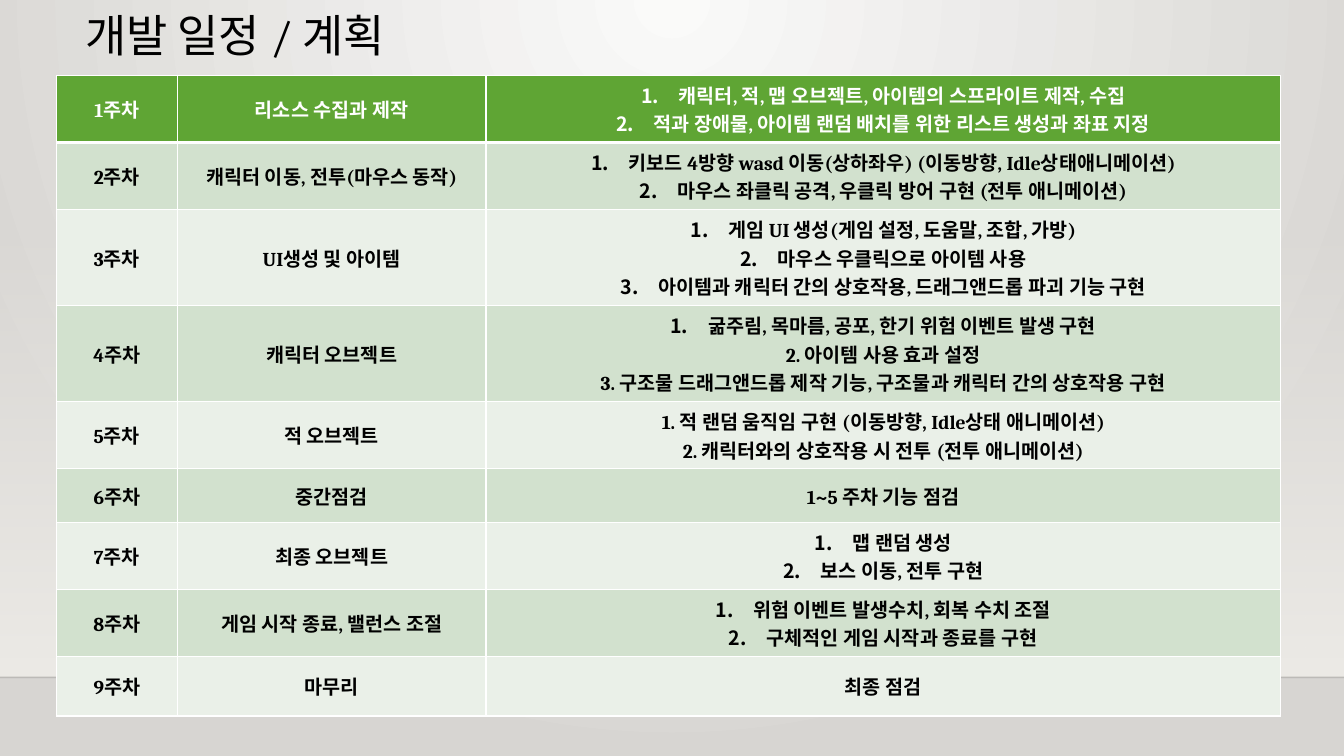
"""Build a slide with the nine-week development schedule of a game."""
from dataclasses import dataclass

from lxml import etree
from pptx import Presentation
from pptx.dml.color import RGBColor
from pptx.enum.shapes import MSO_CONNECTOR, MSO_SHAPE
from pptx.enum.text import MSO_ANCHOR, PP_ALIGN
from pptx.oxml.ns import qn
from pptx.util import Cm, Pt

MIDDLE = MSO_ANCHOR.MIDDLE
LEFT, CENTER = PP_ALIGN.LEFT, PP_ALIGN.CENTER
RECTANGLE = MSO_SHAPE.RECTANGLE
STRAIGHT = MSO_CONNECTOR.STRAIGHT


@dataclass(frozen=True)
class Theme:
    """Colours, font and type sizes of the slide."""
    font: str = "Cambria"
    title_size: int = 32
    table_size: int = 14
    ink: str = "000000"
    white: str = "FFFFFF"
    header: str = "5FA534"
    bands: tuple = ("EAF0E8", "D2E1CE")
    glow: str = "FAFAF9"
    floor: str = "D7D5D2"
    wall: str = "EDEBE7"


THEME = Theme()
SLIDE_WIDTH, SLIDE_HEIGHT = Cm(33.87), Cm(19.05)
HORIZON = Cm(17.07)
COLUMN_WIDTHS = (3.05, 7.78, 20.02)
ROW_HEIGHTS = (1.69, 1.69, 2.42, 2.42, 1.69, 1.35, 1.69, 1.69, 1.5)
SCHEDULE = (
    ("리소스 수집과 제작", (
        "캐릭터, 적, 맵 오브젝트, 아이템의 스프라이트 제작, 수집",
        "적과 장애물, 아이템 랜덤 배치를 위한 리스트 생성과 좌표 지정")),
    ("캐릭터 이동, 전투(마우스 동작)", (
        "키보드 4방향 wasd 이동(상하좌우) (이동방향, Idle상태애니메이션)",
        "마우스 좌클릭 공격, 우클릭 방어 구현 (전투 애니메이션)")),
    ("UI생성 및 아이템", (
        "게임 UI 생성(게임 설정, 도움말, 조합, 가방)",
        "마우스 우클릭으로 아이템 사용",
        "아이템과 캐릭터 간의 상호작용, 드래그앤드롭 파괴 기능 구현")),
    ("캐릭터 오브젝트", (
        "굶주림, 목마름, 공포, 한기 위험 이벤트 발생 구현",
        "2. 아이템 사용 효과 설정",
        "3. 구조물 드래그앤드롭 제작 기능, 구조물과 캐릭터 간의 상호작용 구현")),
    ("적 오브젝트", (
        "1. 적 랜덤 움직임 구현 (이동방향, Idle상태 애니메이션)",
        "2. 캐릭터와의 상호작용 시 전투 (전투 애니메이션)")),
    ("중간점검", ("1~5 주차 기능 점검",)),
    ("최종 오브젝트", ("맵 랜덤 생성", "보스 이동, 전투 구현")),
    ("게임 시작 종료, 밸런스 조절", (
        "위험 이벤트 발생수치, 회복 수치 조절",
        "구체적인 게임 시작과 종료를 구현")),
    ("마무리", ("최종 점검",)),
)


def rgb(code):
    """Return the colour object of a hex code."""
    return RGBColor.from_string(code)


def add_child(parent, tag, **attributes):
    """Append an XML element with the given attributes."""
    return etree.SubElement(parent, qn(tag), attributes)


def write_text(paragraph, text, *, size, color, bold=False, align=LEFT, spacing=1.0):
    """Put formatted text into a paragraph."""
    paragraph.alignment = align
    paragraph.line_spacing = spacing
    run = paragraph.add_run()
    run.text = text
    run.font.name = THEME.font
    run.font.size = Pt(size)
    run.font.bold = bold
    run.font.color.rgb = rgb(color)


def number_paragraph(paragraph):
    """Give a paragraph automatic numbering with a hanging indent."""
    properties = paragraph._p.get_or_add_pPr()
    properties.set("marL", str(Cm(0.95)))
    properties.set("indent", str(-Cm(0.95)))
    add_child(properties, "a:buAutoNum", type="arabicPeriod")


def set_gradient(fill, start, end):
    """Fill with a two-stop gradient running downwards."""
    fill.gradient()
    fill.gradient_angle = 270
    for stop, color in zip(fill.gradient_stops, (start, end)):
        stop.color.rgb = rgb(color)


def paint_background(slide):
    """Light the background from the top centre."""
    set_gradient(slide.background.fill, THEME.glow, THEME.floor)
    gradient = next(slide._element.iter(qn("a:gradFill")))
    gradient.remove(gradient.find(qn("a:lin")))
    glow = add_child(gradient, "a:path", path="circle")
    add_child(glow, "a:fillToRect", l="43000", t="0", r="43000", b="100000")


def set_opacity(element, percent):
    """Set the opacity of the first colour within an element."""
    color = next(element.iter(qn("a:srgbClr")))
    add_child(color, "a:alpha", val=str(percent * 1000))


def add_wall(slide):
    """Add the wall that fades in down to the horizon."""
    top = Cm(5.59)
    wall = slide.shapes.add_shape(RECTANGLE, 0, top, SLIDE_WIDTH, HORIZON - top)
    wall.shadow.inherit = False
    wall.line.fill.background()
    set_gradient(wall.fill, THEME.wall, THEME.wall)
    set_opacity(wall._element.spPr, 0)


def add_horizon(slide):
    """Add the faint line between wall and floor."""
    horizon = slide.shapes.add_connector(STRAIGHT, 0, HORIZON, SLIDE_WIDTH, HORIZON)
    horizon.line.width = Pt(1)
    horizon.line.color.rgb = rgb(THEME.ink)
    set_opacity(horizon._element.spPr, 20)
    add_child(horizon._element.spPr, "a:effectLst")


def add_title(slide, text):
    """Add the slide title."""
    frame = slide.shapes.add_textbox(Cm(1.9), Cm(0.2), Cm(26.44), Cm(1.53)).text_frame
    frame.word_wrap = True
    frame.vertical_anchor = MIDDLE
    write_text(frame.paragraphs[0], text, size=THEME.title_size,
               color=THEME.ink, spacing=0.9)


def set_borders(cell, bottom=1):
    """Draw white borders around a cell."""
    properties = cell._tc.get_or_add_tcPr()
    for side, width in (("L", 1), ("R", 1), ("T", 1), ("B", bottom)):
        border = add_child(properties, f"a:ln{side}", w=str(Pt(width)))
        add_child(add_child(border, "a:solidFill"), "a:srgbClr", val=THEME.white)


def fill_cell(cell, lines, row):
    """Write lines into a cell, numbering lists that carry no numbers."""
    is_header = row == 0
    cell.vertical_anchor = MIDDLE
    set_borders(cell, bottom=3 if is_header else 1)
    cell.fill.solid()
    cell.fill.fore_color.rgb = rgb(THEME.header if is_header else THEME.bands[row % 2])
    frame = cell.text_frame
    for index, line in enumerate(lines):
        paragraph = frame.add_paragraph() if index else frame.paragraphs[0]
        write_text(paragraph, line, size=THEME.table_size, bold=True, align=CENTER,
                   color=THEME.white if is_header else THEME.ink)
        if len(lines) > 1 and not line[0].isdigit():
            number_paragraph(paragraph)


def add_schedule(slide):
    """Add the table of weeks, topics and tasks."""
    table = slide.shapes.add_table(
        len(SCHEDULE), len(COLUMN_WIDTHS), Cm(1.42), Cm(1.9),
        Cm(sum(COLUMN_WIDTHS)), Cm(sum(ROW_HEIGHTS))).table
    for column, width in zip(table.columns, COLUMN_WIDTHS):
        column.width = Cm(width)
    for row, (topic, tasks) in enumerate(SCHEDULE):
        table.rows[row].height = Cm(ROW_HEIGHTS[row])
        contents = ((f"{row + 1}주차",), (topic,), tasks)
        for column, lines in enumerate(contents):
            fill_cell(table.cell(row, column), lines, row)


def main():
    """Build and save the presentation."""
    deck = Presentation()
    deck.slide_width, deck.slide_height = SLIDE_WIDTH, SLIDE_HEIGHT
    slide = deck.slides.add_slide(deck.slide_layouts[6])
    paint_background(slide)
    add_wall(slide)
    add_horizon(slide)
    add_title(slide, "개발 일정 / 계획")
    add_schedule(slide)
    deck.save("out.pptx")


if __name__ == "__main__":
    main()
